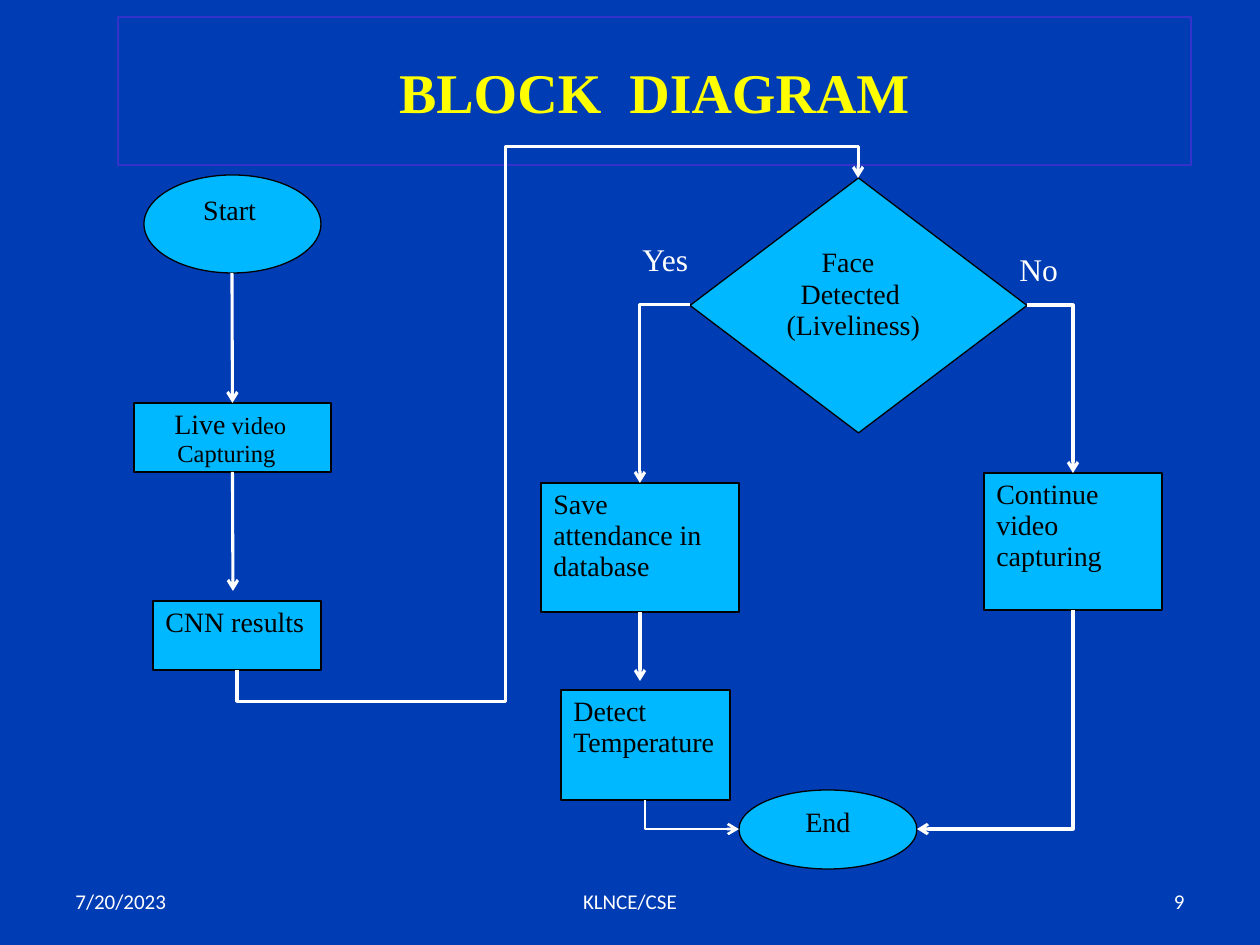
from dataclasses import dataclass
from typing import Optional

from lxml.etree import SubElement
from pptx import Presentation
from pptx.dml.color import RGBColor
from pptx.enum.shapes import MSO_CONNECTOR, MSO_SHAPE
from pptx.enum.text import MSO_ANCHOR, MSO_AUTO_SIZE, PP_ALIGN
from pptx.oxml.ns import qn
from pptx.util import Pt

EMU_PER_PX = 914400 / 126
SERIF = "Times New Roman"
COLORS = {
    "background": "003CB4",
    "node": "00B8FF",
    "ink": "000000",
    "light": "FFFFFF",
    "title": "FFFF00",
    "frame": "3333CC",
}


@dataclass(frozen=True)
class Line:
    spans: tuple
    indent: int = 0


@dataclass(frozen=True)
class Node:
    name: str
    kind: MSO_SHAPE
    bounds: tuple
    lines: tuple


@dataclass(frozen=True)
class Label:
    text: str
    bounds: tuple
    size: int = 12
    font: str = "Calibri"
    align: PP_ALIGN = PP_ALIGN.LEFT
    anchor: MSO_ANCHOR = MSO_ANCHOR.MIDDLE


@dataclass(frozen=True)
class Arrow:
    start: tuple
    end: tuple
    source: Optional[str] = None
    target: Optional[str] = None


@dataclass(frozen=True)
class Elbow:
    start: tuple
    end: tuple
    vertical_first: bool = False
    preset: str = "bentConnector2"
    adjustments: tuple = ()
    width: float = 1.75


PROCESS = MSO_SHAPE.FLOWCHART_PROCESS
NODES = (
    Node("start", MSO_SHAPE.OVAL, (144, 175, 177, 98), (Line((("Start", 16),), 21),)),
    Node("live", PROCESS, (134, 403, 197, 69),
         (Line((("Live", 16), (" video", 14)), 28), Line((("Capturing", 14),), 31))),
    Node("results", PROCESS, (153, 601, 168, 69), (Line((("CNN results", 16),)),)),
    Node("decision", MSO_SHAPE.FLOWCHART_DECISION, (690, 178, 337, 255),
         (Line((("Face", 16),), 35), Line((("Detected", 16),), 14),
          Line((("(Liveliness)", 16),)))),
    Node("save", PROCESS, (541, 483, 198, 129),
         (Line((("Save attendance in database", 16),)),)),
    Node("continue", PROCESS, (984, 473, 178, 137),
         (Line((("Continue video capturing", 16),)),)),
    Node("temperature", PROCESS, (561, 690, 169, 110),
         (Line((("Detect Temperature", 16),)),)),
    Node("end", MSO_SHAPE.OVAL, (739, 790, 178, 79), (Line((("End", 16),), 28),)),
)
LABELS = (
    Label("Yes", (630, 234, 74, 50), 18, SERIF, anchor=MSO_ANCHOR.TOP),
    Label("No", (1007, 244, 67, 50), 18, SERIF, anchor=MSO_ANCHOR.TOP),
    Label("7/20/2023", (63, 876, 294, 50)),
    Label("KLNCE/CSE", (431, 876, 398, 50), align=PP_ALIGN.CENTER),
    Label("9", (903, 876, 294, 50), align=PP_ALIGN.RIGHT),
)
ARROWS = (
    Arrow((232, 273), (232, 403), target="live"),
    Arrow((232, 472), (233, 591), source="live"),
    Arrow((640, 612), (640, 681), source="save"),
)
ELBOWS = (
    Elbow((690, 305), (640, 483)),
    Elbow((1027, 305), (1073, 473)),
    Elbow((1073, 610), (917, 829), True),
    Elbow((237, 670), (858, 178), True, "bentConnector5", (-6400, 43200, 106400)),
    Elbow((645, 800), (739, 829), True, width=1.5),
)


def px(value: float) -> int:
    return round(value * EMU_PER_PX)


def color(name: str) -> RGBColor:
    return RGBColor.from_string(COLORS[name])


def apply_format(target, values: dict) -> None:
    for name, value in values.items():
        setattr(target, name, value)


def add_span(para, text: str, size: int, font: str, ink: str, bold: bool = False) -> None:
    span = para.add_run()
    span.text = text
    apply_format(span.font, {"name": font, "size": Pt(size), "bold": bold})
    span.font.color.rgb = color(ink)


def draw_title(page) -> None:
    title = page.shapes.title
    bounds = zip(("left", "top", "width", "height"), map(px, (118, 17, 1073, 148)))
    apply_format(title, dict(bounds))
    title.line.color.rgb = color("frame")
    title.line.width = Pt(0.75)
    apply_format(title.text_frame, {
        "vertical_anchor": MSO_ANCHOR.MIDDLE,
        "auto_size": MSO_AUTO_SIZE.NONE,
        "word_wrap": True,
    })
    para = title.text_frame.paragraphs[0]
    para.alignment = PP_ALIGN.CENTER
    add_span(para, "BLOCK  DIAGRAM", 32, SERIF, "title", True)


def draw_node(page, node: Node):
    box = page.shapes.add_shape(node.kind, *map(px, node.bounds))
    box.shadow.inherit = False
    box.fill.solid()
    box.fill.fore_color.rgb = color("node")
    box.line.color.rgb = color("ink")
    box.line.width = Pt(0.75)
    frame = box.text_frame
    apply_format(frame, {"vertical_anchor": MSO_ANCHOR.TOP, "word_wrap": True})
    for index, line in enumerate(node.lines):
        para = frame.add_paragraph() if index else frame.paragraphs[0]
        apply_format(para, {"alignment": PP_ALIGN.LEFT, "line_spacing": 0.93})
        if line.indent:
            para._p.get_or_add_pPr().set("marL", str(px(line.indent)))
        for text, size in line.spans:
            add_span(para, text, size, SERIF, "ink")
    return box


def draw_label(page, label: Label) -> None:
    frame = page.shapes.add_textbox(*map(px, label.bounds)).text_frame
    apply_format(frame, {"vertical_anchor": label.anchor, "word_wrap": True})
    para = frame.paragraphs[0]
    para.alignment = label.align
    add_span(para, label.text, label.size, label.font, "light")


def style_connector(connector, width: float) -> None:
    connector.line.color.rgb = color("light")
    connector.line.width = Pt(width)
    properties = connector.element.spPr
    SubElement(properties.find(qn("a:ln")), qn("a:tailEnd"), type="arrow")
    SubElement(properties, qn("a:effectLst"))


def draw_arrow(page, arrow: Arrow, boxes: dict) -> None:
    connector = page.shapes.add_connector(
        MSO_CONNECTOR.STRAIGHT, *map(px, arrow.start + arrow.end))
    if arrow.source:
        connector.begin_connect(boxes[arrow.source], 2)
    if arrow.target:
        connector.end_connect(boxes[arrow.target], 0)
    style_connector(connector, 1.75)


def draw_elbow(page, elbow: Elbow) -> None:
    (x1, y1), (x2, y2) = elbow.start, elbow.end
    if elbow.vertical_first:
        center_x, center_y = (x1 + x2) / 2, (y1 + y2) / 2
        half_x, half_y = (y2 - y1) / 2, (x1 - x2) / 2
        x1, y1 = center_x - half_x, center_y - half_y
        x2, y2 = center_x + half_x, center_y + half_y
    connector = page.shapes.add_connector(MSO_CONNECTOR.ELBOW, *map(px, (x1, y1, x2, y2)))
    properties = connector.element.spPr
    if elbow.vertical_first:
        properties.find(qn("a:xfrm")).set("rot", str(90 * 60000))
    geometry = properties.find(qn("a:prstGeom"))
    geometry.set("prst", elbow.preset)
    guides = geometry.find(qn("a:avLst"))
    for number, value in enumerate(elbow.adjustments, 1):
        SubElement(guides, qn("a:gd"), name=f"adj{number}", fmla=f"val {value}")
    style_connector(connector, elbow.width)


def main() -> None:
    deck = Presentation()
    apply_format(deck, {"slide_width": px(1260), "slide_height": px(945)})
    page = deck.slides.add_slide(deck.slide_layouts[5])
    page.background.fill.solid()
    page.background.fill.fore_color.rgb = color("background")
    draw_title(page)
    boxes = {node.name: draw_node(page, node) for node in NODES}
    for elbow in ELBOWS:
        draw_elbow(page, elbow)
    for arrow in ARROWS:
        draw_arrow(page, arrow, boxes)
    for label in LABELS:
        draw_label(page, label)
    deck.save("out.pptx")


if __name__ == "__main__":
    main()
